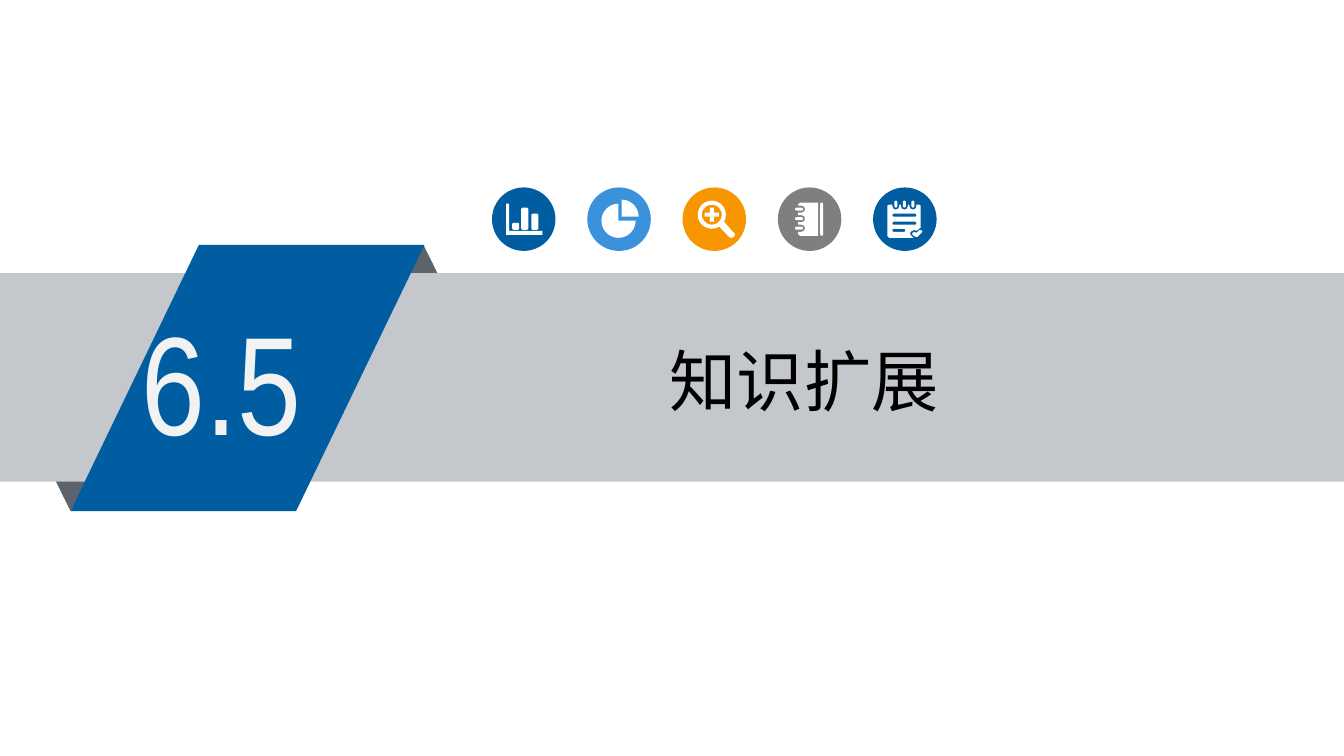
import math

import pptx
import pptx.dml.color
import pptx.enum.shapes
import pptx.enum.text
import pptx.util

Inches = pptx.util.Inches
SHAPE = pptx.enum.shapes.MSO_SHAPE
ALIGN = pptx.enum.text.PP_ALIGN

COLORS = {
    "blue": "005DA2",
    "sky": "3992DB",
    "orange": "F79600",
    "gray": "7F7F7F",
    "band": "C4C7CB",
    "fold": "5D636A",
    "white": "FFFFFF",
    "number": "F2F2F2",
    "title": "000000",
}

ICON_LEFT, ICON_TOP, ICON_SIZE, ICON_STEP = 4.88, 1.86, 0.63, 0.945


def rgb(color):
    return pptx.dml.color.RGBColor.from_string(COLORS[color])


def paint(sp, color):
    sp.shadow.inherit = False
    sp.fill.solid()
    sp.fill.fore_color.rgb = rgb(color)
    sp.line.fill.background()


def add_shape(shapes, kind, box, color, adjust=(), rotation=0):
    sp = shapes.add_shape(kind, *map(Inches, box))
    paint(sp, color)
    for i, value in enumerate(adjust):
        sp.adjustments[i] = value
    sp.rotation = rotation


def add_text(shapes, box, text, font, size, color, align):
    tf = shapes.add_textbox(*map(Inches, box)).text_frame
    tf.word_wrap = True
    p = tf.paragraphs[0]
    p.alignment = align
    r = p.add_run()
    r.text = text
    r.font.name = font
    r.font.size = pptx.util.Pt(size)
    r.font.color.rgb = rgb(color)


def arc(x, y, radius, start, end, steps):
    angles = [math.radians(start + (end - start) * i / steps) for i in range(steps + 1)]
    return [(x + radius * math.cos(a), y + radius * math.sin(a)) for a in angles]


def bar(left, top, width, height, radius=0.015):
    right, bottom = left + width - radius, top + height - radius
    left, top = left + radius, top + radius
    corners = [(right, bottom), (left, bottom), (left, top), (right, top)]
    return [point for i, (x, y) in enumerate(corners)
            for point in arc(x, y, radius, 90 * i, 90 * i + 90, 2)]


def bar_chart():
    axes = [(0.14, 0.16), (0.17, 0.16), (0.17, 0.43), (0.5, 0.43), (0.5, 0.47), (0.14, 0.47)]
    bars = [(0.2, 0.07), (0.29, 0.22), (0.39, 0.16)]
    return [axes] + [bar(x, 0.42 - h, 0.07, h) for x, h in bars]


def pie_chart():
    return [[(0.34, 0.29)] + arc(0.34, 0.29, 0.17, 270, 360, 6),
            [(0.31, 0.33)] + arc(0.31, 0.33, 0.17, 0, 270, 18)]


def magnifier():
    handle = [(0.5, 0.44), (0.52, 0.46), (0.51, 0.49), (0.48, 0.5), (0.46, 0.49)]
    near, far = 0.02, 0.07
    plus = [(near, -far), (near, -near), (far, -near), (far, near), (near, near), (near, far)]
    plus += [(-x, -y) for x, y in plus]
    return [arc(0.29, 0.27, 0.14, 58, 390, 20) + handle,
            arc(0.29, 0.27, 0.1, 0, 345, 15),
            [(0.29 + x, 0.27 + y) for x, y in plus]]


def notebook():
    ring_tops = [0.39, 0.295, 0.2]
    cover = [(0.22, 0.15), (0.4, 0.15), (0.4, 0.48), (0.22, 0.48), (0.2, 0.46)]
    for y in ring_tops:
        cover += [(0.2, y + 0.05)] + arc(0.235, y + 0.015, 0.035, 90, -90, 4) + [(0.2, y - 0.02)]
    cover.append((0.2, 0.17))
    return [cover, bar(0.42, 0.15, 0.03, 0.33)] + [bar(0.17, y, 0.08, 0.03) for y in ring_tops]


def checklist():
    clip_lefts = [0.21 + 0.085 * i for i in range(3)]
    page = [(0.14, 0.18), (0.16, 0.17)]
    for x in clip_lefts:
        page += [(x - 0.02, 0.17)] + arc(x + 0.015, 0.185, 0.035, 180, 0, 4) + [(x + 0.05, 0.17)]
    page += [(0.46, 0.17), (0.47, 0.18), (0.47, 0.4), (0.43, 0.43), (0.41, 0.42),
             (0.37, 0.44), (0.37, 0.47), (0.4, 0.5), (0.16, 0.5), (0.14, 0.48)]
    tick = [(0.39, 0.45), (0.41, 0.44), (0.43, 0.45), (0.46, 0.42), (0.49, 0.43),
            (0.48, 0.45), (0.44, 0.49), (0.42, 0.49), (0.39, 0.47)]
    lines = [(0.26, 0.24), (0.34, 0.24), (0.41, 0.13)]
    return ([page, tick] + [bar(x, 0.13, 0.03, 0.07) for x in clip_lefts]
            + [bar(0.19, y, w, 0.03) for y, w in lines])


def add_icon(s, index, color, outlines):
    left = ICON_LEFT + index * ICON_STEP
    shapes = s.shapes.add_group_shape().shapes
    add_shape(shapes, SHAPE.OVAL, (left, ICON_TOP, ICON_SIZE, ICON_SIZE), color)
    builder = None
    for outline in outlines:
        points = [(Inches(left + x), Inches(ICON_TOP + y)) for x, y in outline]
        if builder is None:
            builder = shapes.build_freeform(*points[0])
        else:
            builder.move_to(*points[0])
        builder.add_line_segments(points[1:])
    paint(builder.convert_to_shape(), "white")


def add_banner(s):
    shapes = s.shapes.add_group_shape().shapes
    add_shape(shapes, SHAPE.ISOSCELES_TRIANGLE, (3.6, 2.43, 1.2, 1.21), "fold")
    add_shape(shapes, SHAPE.ISOSCELES_TRIANGLE, (0.1, 3.86, 1.2, 1.21), "fold", rotation=180)
    add_shape(shapes, SHAPE.RECTANGLE, (0, 2.71, 13.33, 2.07), "band")
    add_shape(shapes, SHAPE.PARALLELOGRAM, (0.7, 2.43, 3.51, 2.64), "blue", [0.482])
    add_text(shapes, (1.31, 2.88, 2.11, 1.78), "6.5", "Arial Narrow", 100, "number", ALIGN.LEFT)


def main():
    prs = pptx.Presentation()
    prs.slide_width = Inches(13.33)
    prs.slide_height = Inches(7.5)
    s = prs.slides.add_slide(prs.slide_layouts[6])
    add_banner(s)
    add_text(s.shapes, (4.21, 3.32, 7.53, 0.91), "知识扩展", "Calibri", 48, "title", ALIGN.CENTER)
    add_icon(s, 4, "blue", checklist())
    add_icon(s, 2, "orange", magnifier())
    add_icon(s, 3, "gray", notebook())
    add_icon(s, 0, "blue", bar_chart())
    add_icon(s, 1, "sky", pie_chart())
    prs.save("out.pptx")


if __name__ == "__main__":
    main()
